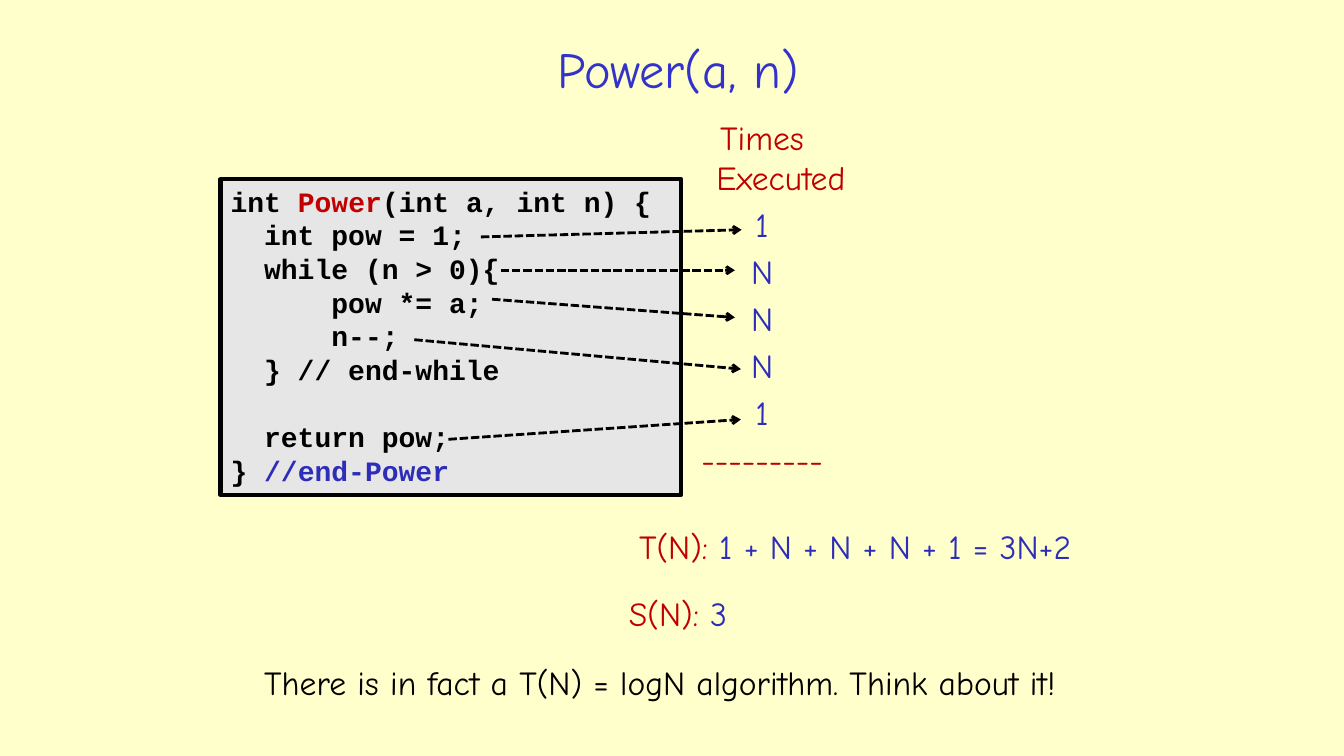
from pptx import Presentation
from pptx.dml.color import RGBColor
from pptx.enum import dml, shapes, text
from pptx.oxml.ns import qn
from pptx.util import Cm, Pt
from lxml import etree


class Theme:
    background, panel = "FFFFCC", "E6E6E6"
    ink, red, blue, title = "000000", "C00000", "2D2DB9", "3333CC"
    body_font, code_font = "Comic Neue", "Courier New"
    title_size, body_size, code_size = 36, 24, 20
    border, arrow = 3, 2
    gap = 4.8  # space before later paragraphs, in points
    hang = 0.95  # hanging indent, in cm


T = Theme

# Content: each paragraph is a list of (text, colour) runs
TITLE = [[("Power(a, n)", T.title)]]
CODE = [
    [("int ", T.ink), ("Power", T.red), ("(int a, int n) {", T.ink)],
    [("  int pow = 1;", T.ink)],
    [("  while (n > 0){", T.ink)],
    [("      pow *= a;", T.ink)],
    [("      n--;", T.ink)],
    [("  } // end-while", T.ink)],
    [],
    [("  return pow;", T.ink)],
    [("} ", T.ink), ("//end-Power", T.blue)],
]
COUNTS = ["1", "N", "N", "N", "1"]
TIMES = [
    [("Times Executed", T.red)],
    *[[(count, T.blue)] for count in COUNTS],
    [("-" * 9, T.red)],
]
TIME_COST = [[("T(N): ", T.red), (" + ".join(COUNTS) + " = 3N+2", T.blue)]]
SPACE_COST = [[("S(N): ", T.red), ("3", T.blue)]]
REMARK = [[("There is in fact a T(N) = logN algorithm. Think about it!", T.ink)]]

# Places in cm: left, top, width, height
CODE_BOX = (5.56, 4.52, 11.61, 7.95)
TITLE_BOX = (4.98, 0.66, 24.23, 2.13)
NOTES = [
    (TIMES, (16.54, 2.82, 5.33, 10.8)),
    (TIME_COST, (14.4, 13.13, 14.3, 1.47)),
    (SPACE_COST, (14.94, 14.81, 4.29, 1.47)),
    (REMARK, (4.66, 16.56, 23.93, 1.47)),
]
# Arrows in cm: from x, from y, to x, to y
ARROWS = [
    (12.12, 5.97, 18.69, 5.79),
    (12.62, 6.81, 18.52, 6.81),
    (12.4, 7.54, 18.52, 8.0),
    (10.44, 8.56, 18.67, 9.3),
    (11.3, 11.07, 18.67, 10.57),
]


def color(value):
    return RGBColor.from_string(value)


def cm(values):
    return [Cm(v) for v in values]


def write(sp, paragraphs, font, size, bold=False, centered=True, hanging=False):
    tf = sp.text_frame
    tf.word_wrap = True
    for i, runs in enumerate(paragraphs):
        p = tf.add_paragraph() if i else tf.paragraphs[0]
        p.alignment = text.PP_ALIGN.CENTER if centered else text.PP_ALIGN.LEFT
        if hanging:
            pPr = p._p.get_or_add_pPr()
            pPr.set("marL", str(Cm(T.hang)))
            pPr.set("indent", str(-Cm(T.hang)))
            if i:
                p.space_before = Pt(T.gap)
        p.font.name, p.font.size, p.font.bold = font, Pt(size), bold
        for words, shade in runs:
            r = p.add_run()
            r.text = words
            r.font.color.rgb = color(shade)
    return tf


def add_arrow(slide, ends):
    line = slide.shapes.add_connector(shapes.MSO_CONNECTOR.STRAIGHT, *cm(ends))
    line.line.color.rgb = color(T.ink)
    line.line.width = Pt(T.arrow)
    line.line.dash_style = dml.MSO_LINE.SQUARE_DOT
    ln = line.line._get_or_add_ln()
    etree.SubElement(ln, qn("a:tailEnd")).set("type", "arrow")
    etree.SubElement(line._element.spPr, qn("a:effectLst"))


def main():
    prs = Presentation()
    prs.slide_width, prs.slide_height = Cm(33.87), Cm(19.05)
    slide = prs.slides.add_slide(prs.slide_layouts[6])
    slide.background.fill.solid()
    slide.background.fill.fore_color.rgb = color(T.background)

    # Title
    sp = slide.shapes.add_textbox(*cm(TITLE_BOX))
    tf = write(sp, TITLE, T.body_font, T.title_size)
    tf.vertical_anchor = text.MSO_ANCHOR.MIDDLE

    # Code panel
    sp = slide.shapes.add_shape(shapes.MSO_SHAPE.RECTANGLE, *cm(CODE_BOX))
    sp.shadow.inherit = False
    sp.fill.solid()
    sp.fill.fore_color.rgb = color(T.panel)
    sp.line.color.rgb = color(T.ink)
    sp.line.width = Pt(T.border)
    tf = write(sp, CODE, T.code_font, T.code_size, bold=True, centered=False)
    tf.vertical_anchor = text.MSO_ANCHOR.TOP

    # Execution counts, costs and closing remark
    for paragraphs, box in NOTES:
        sp = slide.shapes.add_textbox(*cm(box))
        write(sp, paragraphs, T.body_font, T.body_size, hanging=True)

    # Arrows from statements to their counts
    for ends in ARROWS:
        add_arrow(slide, ends)

    prs.save("out.pptx")


if __name__ == "__main__":
    main()
